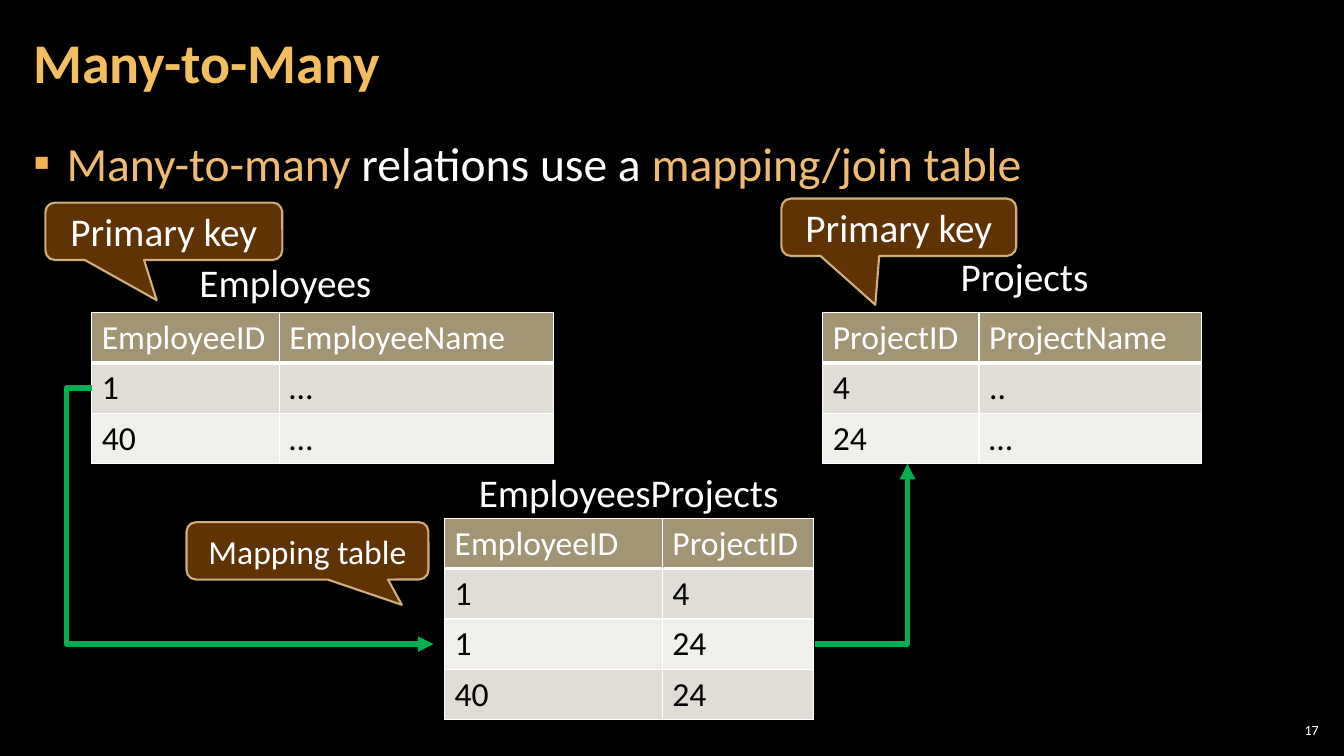
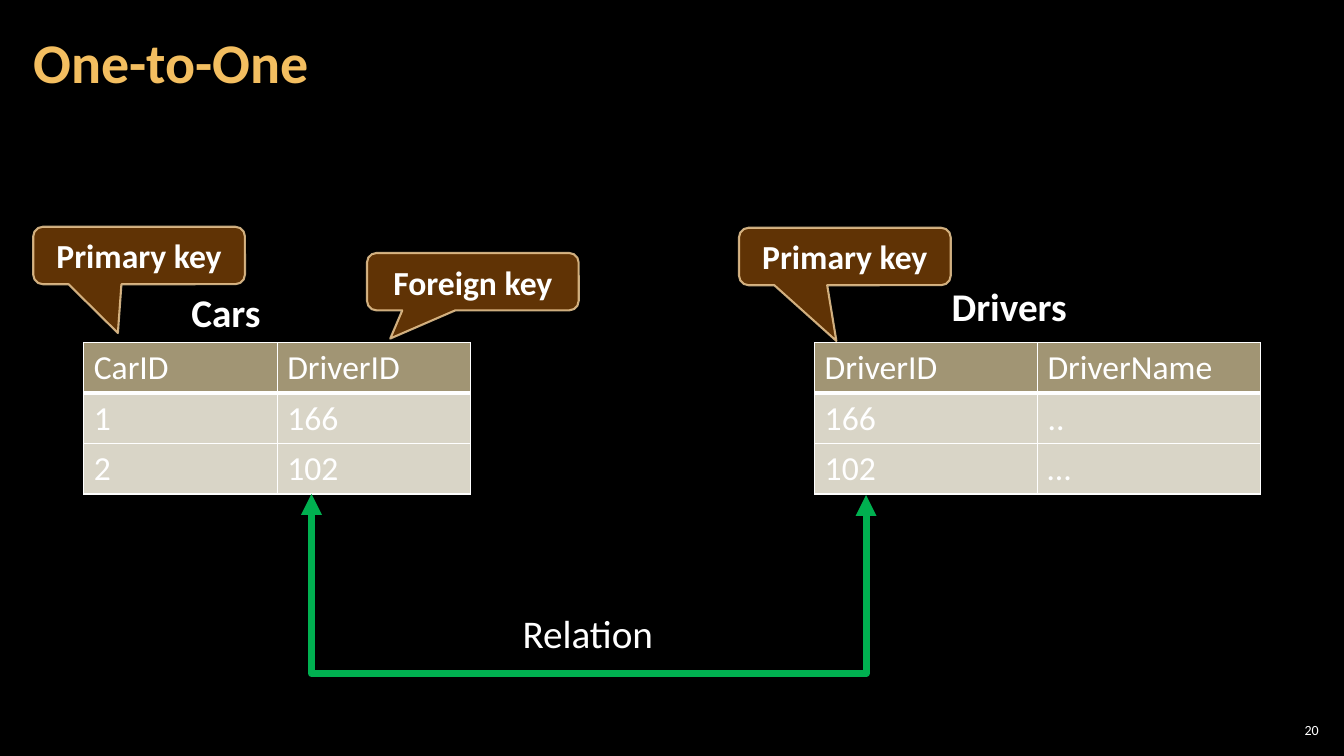
from lxml.etree import SubElement
from pptx import Presentation
from pptx.dml.color import RGBColor
from pptx.enum.shapes import MSO_CONNECTOR, MSO_SHAPE
from pptx.enum.text import MSO_ANCHOR, PP_ALIGN
from pptx.oxml.ns import qn
from pptx.util import Inches, Pt

FONT = "Calibri"
BLACK, WHITE = "000000", "FFFFFF"
TITLE_GOLD, ACCENT_GOLD, BULLET_GOLD = "F3BE60", "EFBB72", "F2B254"
CALLOUT_BROWN, CALLOUT_EDGE = "663606", "F8D49E"
ARROW_GREEN, HEADER_TAN = "00B050", "A19574"
ROW_HEIGHT = 0.5
LABEL_HEIGHT = 0.57
TITLE_AND_BODY, TITLE_ONLY = 1, 5

# Each table look: (header fill, opacity), body row fills in turn, body text colour
SOLID_LOOK = ((HEADER_TAN, 100), [("E0DDD6", 100), ("F0EFEB", 100)], BLACK)
CLEAR_LOOK = ((HEADER_TAN, 50), [("D9D5C7", 20)], WHITE)


def paint(fill, color, opacity=100):
    """Give a solid colour, with opacity in percent, to a fill."""
    fill.solid()
    fill.fore_color.rgb = RGBColor.from_string(color)
    if opacity < 100:
        srgb = fill._xPr.find(".//" + qn("a:srgbClr"))
        SubElement(srgb, qn("a:alpha"), val=str(opacity * 1000))


def add_run(paragraph, text, size=24, color=WHITE, bold=False):
    run = paragraph.add_run()
    run.text = text
    run.font.name = FONT
    run.font.size = Pt(size)
    run.font.bold = bold
    paint(run.font.fill, color)


def write(frame, text, align=PP_ALIGN.LEFT, anchor=MSO_ANCHOR.TOP,
          wrap=True, margins=(0.1, 0.05), **font):
    """Write text, or a list of (text, colour) parts, as one paragraph."""
    frame.word_wrap = wrap
    frame.vertical_anchor = anchor
    frame.margin_left = frame.margin_right = Inches(margins[0])
    frame.margin_top = frame.margin_bottom = Inches(margins[1])
    paragraph = frame.paragraphs[0]
    paragraph.alignment = align
    if isinstance(text, str):
        add_run(paragraph, text, **font)
    else:
        for part, color in text:
            add_run(paragraph, part, color=color, **font)
    return paragraph


def place(shape, left, top, width, height):
    shape.left, shape.top = Inches(left), Inches(top)
    shape.width, shape.height = Inches(width), Inches(height)


def add_label(slide, text, left, top, width, height=LABEL_HEIGHT, size=28, **style):
    box = slide.shapes.add_textbox(Inches(left), Inches(top),
                                   Inches(width), Inches(height))
    write(box.text_frame, text, size=size, **style)


def add_topic_slide(deck, layout, title, number):
    slide = deck.slides.add_slide(deck.slide_layouts[layout])
    heading = slide.shapes.title
    place(heading, 0.21, 0.04, 10.47, 1.21)
    line = write(heading.text_frame, title, anchor=MSO_ANCHOR.MIDDLE,
                 margins=(0.12, 0.04), size=40, color=TITLE_GOLD, bold=True)
    line.line_spacing = 0.9
    add_label(slide, number, 12.65, 7.14, 0.47, 0.21, size=10,
              align=PP_ALIGN.RIGHT, anchor=MSO_ANCHOR.MIDDLE, margins=(0.04, 0.04))
    return slide


def fill_body(slide, parts):
    body = slide.placeholders[1]
    place(body, 0.21, 1.26, 12.91, 6.09)
    line = write(body.text_frame, parts, margins=(0.12, 0.04), size=34)
    line.line_spacing = 1.05
    line.space_before = line.space_after = Pt(6)
    properties = line._p.get_or_add_pPr()
    properties.set("marL", str(Inches(0.33)))
    properties.set("indent", str(-Inches(0.33)))
    bullet_color = SubElement(properties, qn("a:buClr"))
    SubElement(bullet_color, qn("a:srgbClr"), val=BULLET_GOLD)
    SubElement(properties, qn("a:buFont"), typeface=FONT)
    SubElement(properties, qn("a:buChar"), char="▪")


def add_borders(cell, is_header):
    properties = cell._tc.get_or_add_tcPr()
    for side in "LRTB":
        width = Pt(3) if is_header and side == "B" else Pt(1)
        line = SubElement(properties, qn("a:ln" + side), w=str(width))
        solid = SubElement(line, qn("a:solidFill"))
        SubElement(solid, qn("a:srgbClr"), val=WHITE)


def add_data_table(slide, left, top, widths, rows, look):
    header_fill, row_fills, body_color = look
    table = slide.shapes.add_table(
        len(rows), len(widths), Inches(left), Inches(top),
        Inches(sum(widths)), Inches(ROW_HEIGHT * len(rows))).table
    table.first_row = table.horz_banding = False
    for column, width in zip(table.columns, widths):
        column.width = Inches(width)
    for r, row in enumerate(rows):
        is_header = r == 0
        fill = header_fill if is_header else row_fills[(r - 1) % len(row_fills)]
        for c, text in enumerate(row):
            cell = table.cell(r, c)
            add_borders(cell, is_header)
            paint(cell.fill, *fill)
            write(cell.text_frame, text, color=WHITE if is_header else body_color)


def add_callout(slide, text, left, top, width, pointer, size=24, bold=False):
    """Add a callout; pointer is its tip from the centre, in widths and heights."""
    callout = slide.shapes.add_shape(
        MSO_SHAPE.ROUNDED_RECTANGULAR_CALLOUT, Inches(left), Inches(top),
        Inches(width), Inches(LABEL_HEIGHT))
    callout.shadow.inherit = False
    callout.adjustments[0], callout.adjustments[1] = pointer
    paint(callout.fill, CALLOUT_BROWN, 95)
    paint(callout.line.fill, CALLOUT_EDGE, 80)
    callout.line.width = Pt(1.5)
    write(callout.text_frame, text, align=PP_ALIGN.CENTER,
          anchor=MSO_ANCHOR.MIDDLE, size=size, bold=bold)


def add_elbow_arrow(slide, start, end, bend, vertical=False, width=3.75, both=False):
    """Join two points by way of x = bend, or y = bend if vertical."""
    (x1, y1), (x2, y2) = start, end
    arrow = slide.shapes.add_connector(
        MSO_CONNECTOR.ELBOW, Inches(x1), Inches(y1), Inches(x2), Inches(y2))
    ratio = (bend - x1) / (x2 - x1)
    if vertical:
        ratio = (bend - y1) / (y2 - y1)
        run, rise = abs(y2 - y1), abs(x2 - x1)
        place(arrow, (x1 + x2 - run) / 2, (y1 + y2 - rise) / 2, run, rise)
        down = y2 > y1
        frame = arrow._element.spPr.find(qn("a:xfrm"))
        frame.set("rot", str((270 if down else 90) * 60000))
        frame.set("flipH", "1")
        frame.set("flipV", str(int((x2 > x1) != down)))
    properties = arrow._element.spPr
    guides = properties.find(qn("a:prstGeom")).get_or_add_avLst()
    SubElement(guides, qn("a:gd"), name="adj1", fmla=f"val {round(ratio * 100000)}")
    paint(arrow.line.fill, ARROW_GREEN)
    arrow.line.width = Pt(width)
    line = arrow.line._get_or_add_ln()
    for tip in ("a:headEnd", "a:tailEnd") if both else ("a:tailEnd",):
        SubElement(line, qn(tip), type="triangle")
    SubElement(properties, qn("a:effectLst"))


def build_many_to_many(deck):
    slide = add_topic_slide(deck, TITLE_AND_BODY, "Many-to-Many", "17")
    fill_body(slide, [("Many-to-many", ACCENT_GOLD), (" relations use a ", WHITE),
                      ("mapping/join table", ACCENT_GOLD)])
    add_data_table(slide, 0.91, 3.1, [1.86, 2.72],
                   [("EmployeeID", "EmployeeName"), ("1", "…"), ("40", "…")],
                   SOLID_LOOK)
    add_data_table(slide, 8.16, 3.1, [1.55, 2.21],
                   [("ProjectID", "ProjectName"), ("4", ".."), ("24", "…")],
                   SOLID_LOOK)
    add_data_table(slide, 4.41, 5.14, [2.16, 1.5],
                   [("EmployeeID", "ProjectID"), ("1", "4"), ("1", "24"), ("40", "24")],
                   SOLID_LOOK)
    for name, left, top, width in [("Employees", 1.88, 2.51, 1.92),
                                   ("Projects", 9.43, 2.45, 1.48),
                                   ("EmployeesProjects", 4.65, 4.6, 3.21)]:
        add_label(slide, name, left, top, width, wrap=False)
    add_elbow_arrow(slide, (0.91, 3.85), (4.3, 6.39), bend=0.66)
    add_elbow_arrow(slide, (8.08, 6.39), (9, 4.6), bend=6.39, vertical=True)
    add_callout(slide, "Primary key", 0.45, 2.01, 2.35, (-0.03, 1.2), size=28)
    add_callout(slide, "Primary key", 7.75, 1.97, 2.33, (-0.1, 1.35), size=28)
    add_callout(slide, "Mapping table", 1.85, 5.18, 2.4, (0.39, 0.94))


def build_one_to_one(deck):
    slide = add_topic_slide(deck, TITLE_ONLY, "One-to-One", "20")
    add_data_table(slide, 0.83, 3.4, [1.92, 1.92],
                   [("CarID", "DriverID"), ("1", "166"), ("2", "102")], CLEAR_LOOK)
    add_data_table(slide, 8.08, 3.4, [2.21, 2.21],
                   [("DriverID", "DriverName"), ("166", ".."), ("102", "…")],
                   CLEAR_LOOK)
    add_label(slide, "Cars", 1.8, 2.81, 0.9, wrap=False, bold=True)
    add_label(slide, "Drivers", 9.34, 2.75, 1.36, wrap=False, bold=True)
    for text, left, top, pointer in [("Primary key", 0.33, 2.25, (-0.1, 1.35)),
                                     ("Foreign key", 3.64, 2.51, (-0.39, 0.99)),
                                     ("Primary key", 7.33, 2.26, (-0.04, 1.47))]:
        add_callout(slide, text, left, top, 2.1, pointer, bold=True)
    add_elbow_arrow(slide, (3.09, 4.9), (8.59, 4.91), bend=6.71,
                    vertical=True, width=5, both=True)
    add_label(slide, "Relation", 4.83, 6, 2, align=PP_ALIGN.CENTER)


def main():
    deck = Presentation()
    deck.slide_width, deck.slide_height = Inches(13.33), Inches(7.5)
    paint(deck.slide_master.background.fill, BLACK)
    build_many_to_many(deck)
    build_one_to_one(deck)
    deck.save("out.pptx")


if __name__ == "__main__":
    main()
